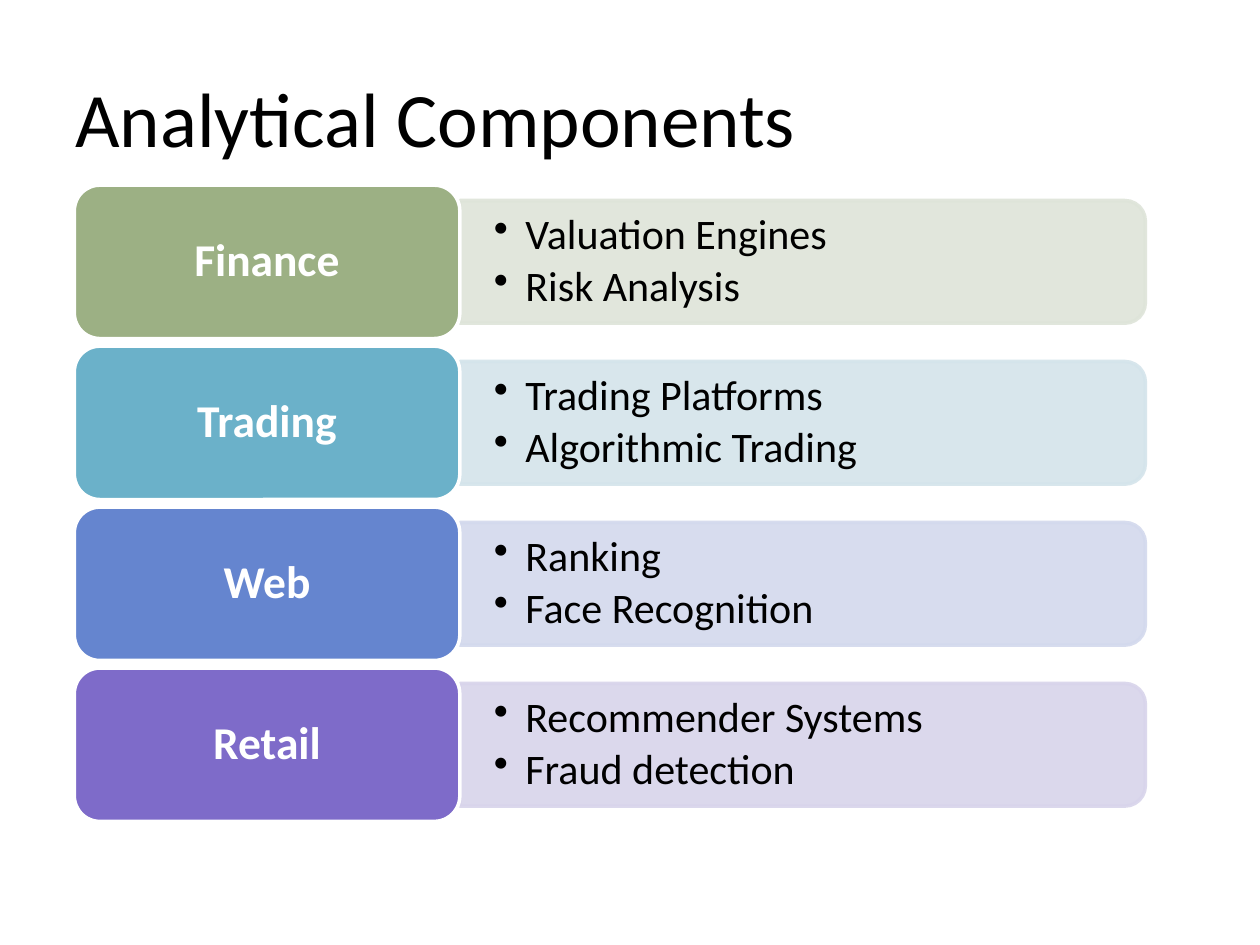
from dataclasses import dataclass

from lxml import etree
from pptx import Presentation
from pptx.dml.color import RGBColor
from pptx.enum.shapes import MSO_SHAPE
from pptx.enum.text import MSO_ANCHOR, PP_ALIGN
from pptx.oxml.ns import qn
from pptx.util import Inches, Pt

ROUNDED = MSO_SHAPE.ROUNDED_RECTANGLE
ROUND_TOP = MSO_SHAPE.ROUND_2_SAME_RECTANGLE
MIDDLE = MSO_ANCHOR.MIDDLE
LEFT, CENTER = PP_ALIGN.LEFT, PP_ALIGN.CENTER


@dataclass(frozen=True)
class Theme:
    font: str = "Calibri"
    text: str = "000000"
    light: str = "FFFFFF"
    title_size: int = 44
    label_size: int = 26
    bullet_size: int = 24
    line_width: int = 2
    bar_opacity: int = 90


THEME = Theme()

# Label, label colour, bar colour, bullets
SECTORS = [
    ("Finance", "9CB084", "DEE4D9", ["Valuation Engines", "Risk Analysis"]),
    ("Trading", "6BB1C9", "D4E4EB", ["Trading Platforms", "Algorithmic Trading"]),
    ("Web", "6585CF", "D3D9ED", ["Ranking", "Face Recognition"]),
    ("Retail", "7E6BC9", "D8D4EB", ["Recommender Systems", "Fraud detection"]),
]


def style_frame(tf, inset_x, inset_y):
    x, y = Inches(inset_x), Inches(inset_y)
    frame_format = {"word_wrap": True, "vertical_anchor": MIDDLE,
                    "margin_left": x, "margin_right": x,
                    "margin_top": y, "margin_bottom": y}
    for name, value in frame_format.items():
        setattr(tf, name, value)


def write(p, text, size, color, bold=False, align=LEFT, spacing=1.0):
    p.alignment, p.line_spacing = align, spacing
    r = p.add_run()
    r.text = text
    for name, value in {"name": THEME.font, "size": Pt(size), "bold": bold}.items():
        setattr(r.font, name, value)
    r.font.color.rgb = RGBColor.from_string(color)


def add_bullet(p):
    pPr = p._p.get_or_add_pPr()
    pPr.set("marL", str(Inches(0.25)))
    pPr.set("indent", str(-Inches(0.25)))
    etree.SubElement(pPr, qn("a:buChar"), char="•")


def add_panel(slide, kind, left, top, width, height, fill, line):
    sp = slide.shapes.add_shape(
        kind, Inches(left), Inches(top), Inches(width), Inches(height))
    sp.shadow.inherit = False
    sp.fill.solid()
    sp.fill.fore_color.rgb = RGBColor.from_string(fill)
    sp.line.color.rgb = RGBColor.from_string(line)
    sp.line.width = Pt(THEME.line_width)
    return sp


def add_title(slide, left, top, width, height, text):
    box = slide.shapes.add_textbox(
        Inches(left), Inches(top), Inches(width), Inches(height))
    style_frame(box.text_frame, 0.1, 0.05)
    write(box.text_frame.paragraphs[0], text, THEME.title_size, THEME.text)


def add_bar(slide, left, top, width, height, color):
    """Bar with its right corners rounded: a round-top shape turned by 90°."""
    shift = (width - height) / 2
    sp = add_panel(slide, ROUND_TOP, left + shift, top - shift,
                   height, width, color, color)
    sp.rotation = 90
    for clr in sp._element.spPr.iter(qn("a:srgbClr")):
        etree.SubElement(clr, qn("a:alpha"), val=str(THEME.bar_opacity * 1000))


def add_bullets(slide, left, top, width, height, items):
    box = slide.shapes.add_textbox(
        Inches(left), Inches(top), Inches(width), Inches(height))
    tf = box.text_frame
    style_frame(tf, 0.27, 0.14)
    for i, item in enumerate(items):
        p = tf.paragraphs[0] if i == 0 else tf.add_paragraph()
        add_bullet(p)
        write(p, item, THEME.bullet_size, THEME.text, spacing=0.9)
        p.space_after = Pt(0.15 * THEME.bullet_size)


def add_sector(slide, left, top, width, height, sector):
    label, color, bar_color, items = sector
    label_w = 0.36 * width
    bar_x, bar_w, bar_h = left + label_w, width - label_w, 0.8 * height
    bar_y = top + (height - bar_h) / 2
    add_bar(slide, bar_x, bar_y, bar_w, bar_h, bar_color)
    add_bullets(slide, bar_x, bar_y + 0.05, bar_w - 0.05, bar_h - 0.1, items)
    sp = add_panel(slide, ROUNDED, left, top, label_w, height, color, THEME.light)
    style_frame(sp.text_frame, 0.11, 0.05)
    write(sp.text_frame.paragraphs[0], label, THEME.label_size, THEME.light,
          bold=True, align=CENTER, spacing=0.9)


def add_sector_list(slide, left, top, width, height, sectors, gap=0.06):
    row_h = (height - gap * (len(sectors) - 1)) / len(sectors)
    for i, sector in enumerate(sectors):
        add_sector(slide, left, top + i * (row_h + gap), width, row_h, sector)


def main():
    prs = Presentation()
    prs.slide_width, prs.slide_height = Inches(10), Inches(7.5)
    slide = prs.slides.add_slide(prs.slide_layouts[6])
    add_title(slide, 0.5, 0.3, 9, 1.25, "Analytical Components")
    add_sector_list(slide, 0.59, 1.47, 8.5, 5.05, SECTORS)
    prs.save("out.pptx")


if __name__ == "__main__":
    main()
